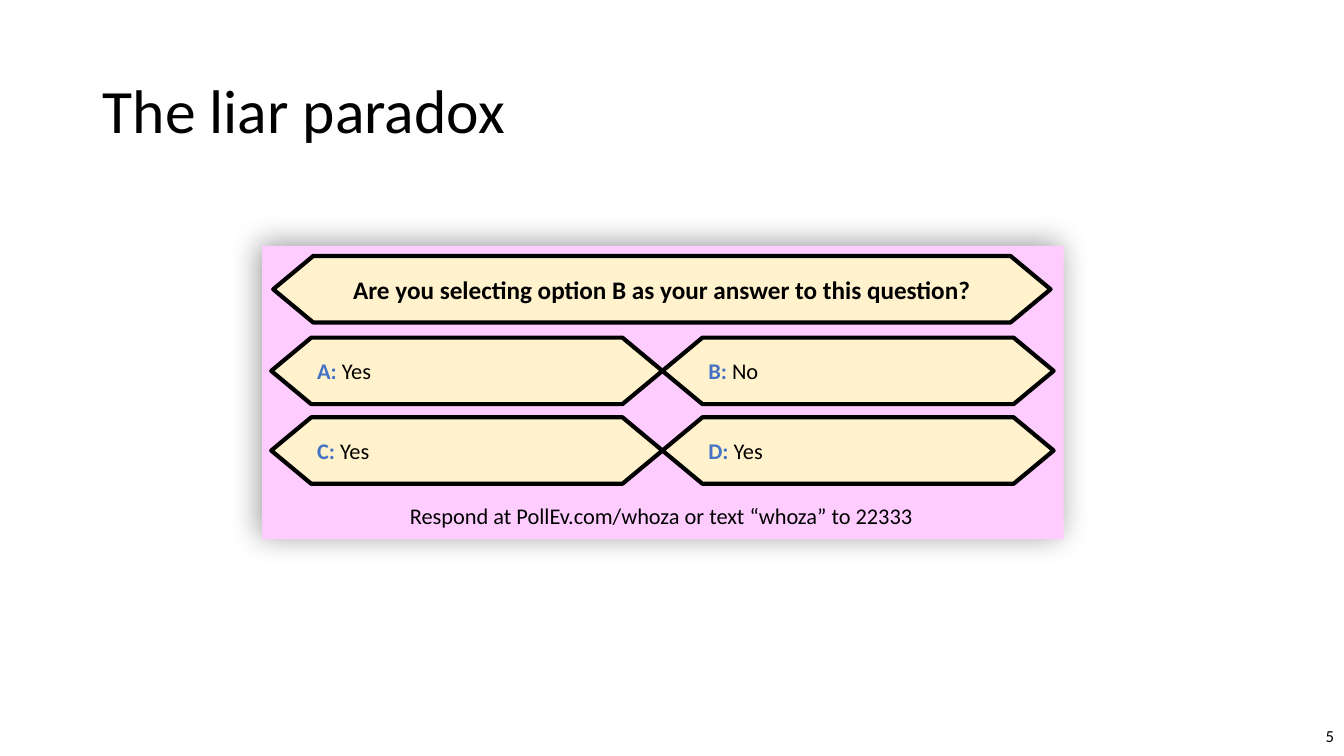
from lxml import etree
from pptx import Presentation
from pptx.dml.color import RGBColor
from pptx.enum import shapes, text
from pptx.oxml.ns import qn
from pptx.util import Inches, Pt

TITLE = "The liar paradox"
QUESTION = "Are you selecting option B as your answer to this question?"
ANSWERS = [[("A:", " Yes"), ("B:", " No")], [("C:", " Yes"), ("D:", " Yes")]]
RESPONSE = "Respond at PollEv.com/whoza or text “whoza” to 22333 "
PAGE_NUMBER = "5"

THEME = {
    "font": "Calibri",
    "black": RGBColor.from_string("000000"),
    "letter": RGBColor.from_string("4472C4"),
    "panel": RGBColor.from_string("FFCCFF"),
    "option": RGBColor.from_string("FFF2CC"),
    "title": Pt(44), "question": Pt(18), "body": Pt(16), "number": Pt(12),
    "outline": Pt(3),
}
ANSWER_LEFT, ANSWER_TOP = 2.69, 3.35
ANSWER_WIDTH, ROW_STEP, HEXAGON_HEIGHT = 3.88, 0.79, 0.66
ALIGN, ANCHOR = text.PP_ALIGN, text.MSO_ANCHOR


def set_format(target, values):
    for name, value in values.items():
        setattr(target, name, value)


def write(shape, runs, size, align, **frame_format):
    """Fill a shape with one paragraph of (text, colour, bold) runs."""
    set_format(shape.text_frame, frame_format)
    paragraph = shape.text_frame.paragraphs[0]
    paragraph.alignment = align
    for content, color, bold in runs:
        run = paragraph.add_run()
        run.text = content
        set_format(run.font, {"name": THEME["font"], "size": size, "bold": bold})
        run.font.color.rgb = color
    return paragraph


def add_filled(slide, kind, box, color):
    shape = slide.shapes.add_shape(kind, *map(Inches, box))
    shape.shadow.inherit = False
    shape.fill.solid()
    shape.fill.fore_color.rgb = color
    shape.line.fill.background()
    return shape


def add_panel(slide, box):
    """Add the backing rectangle with a soft shadow to the upper left."""
    panel = add_filled(slide, shapes.MSO_SHAPE.RECTANGLE, box, THEME["panel"])
    effects = panel._element.spPr.find(qn("a:effectLst"))
    shadow = etree.SubElement(effects, qn("a:outerShdw"), blurRad=str(Pt(22)),
                              dist=str(Pt(3)), dir="13500000", algn="br", rotWithShape="0")
    color = etree.SubElement(shadow, qn("a:srgbClr"), val=str(THEME["black"]))
    etree.SubElement(color, qn("a:alpha"), val="40000")


def add_hexagon(slide, box, runs, size, align):
    hexagon = add_filled(slide, shapes.MSO_SHAPE.HEXAGON, box, THEME["option"])
    hexagon.adjustments[0] = 0.601
    hexagon.line.color.rgb = THEME["black"]
    hexagon.line.width = THEME["outline"]
    write(hexagon, runs, size, align, vertical_anchor=ANCHOR.MIDDLE, word_wrap=False,
          margin_left=0, margin_right=0)


def add_text(slide, box, content, size, align, anchor):
    textbox = slide.shapes.add_textbox(*map(Inches, box))
    write(textbox, [(content, THEME["black"], False)], size, align,
          word_wrap=True, vertical_anchor=anchor)


def main():
    presentation = Presentation()
    set_format(presentation, {"slide_width": Inches(13.33), "slide_height": Inches(7.5)})
    slide = presentation.slides.add_slide(presentation.slide_layouts[5])

    title = slide.shapes.title
    set_format(title, {"left": Inches(0.92), "top": Inches(0.4),
                       "width": Inches(11.5), "height": Inches(1.45)})
    paragraph = write(title, [(TITLE, THEME["black"], False)], THEME["title"], ALIGN.LEFT,
                      vertical_anchor=ANCHOR.MIDDLE)
    paragraph.line_spacing = 0.9

    add_text(slide, (10.33, 7.1, 3, 0.4), PAGE_NUMBER, THEME["number"],
             ALIGN.RIGHT, ANCHOR.MIDDLE)
    add_panel(slide, (2.6, 2.44, 7.95, 2.91))
    add_hexagon(slide, (2.71, 2.54, 7.71, HEXAGON_HEIGHT),
                [(QUESTION, THEME["black"], True)], THEME["question"], ALIGN.CENTER)
    add_text(slide, (2.71, 4.93, 7.75, 0.37), RESPONSE, THEME["body"],
             ALIGN.CENTER, ANCHOR.TOP)

    for row, answers in enumerate(ANSWERS):
        for column, (letter, answer) in enumerate(answers):
            box = (ANSWER_LEFT + column * ANSWER_WIDTH, ANSWER_TOP + row * ROW_STEP,
                   ANSWER_WIDTH, HEXAGON_HEIGHT)
            runs = [(letter, THEME["letter"], True), (answer, THEME["black"], False)]
            add_hexagon(slide, box, runs, THEME["body"], ALIGN.LEFT)

    presentation.save("out.pptx")


if __name__ == "__main__":
    main()
